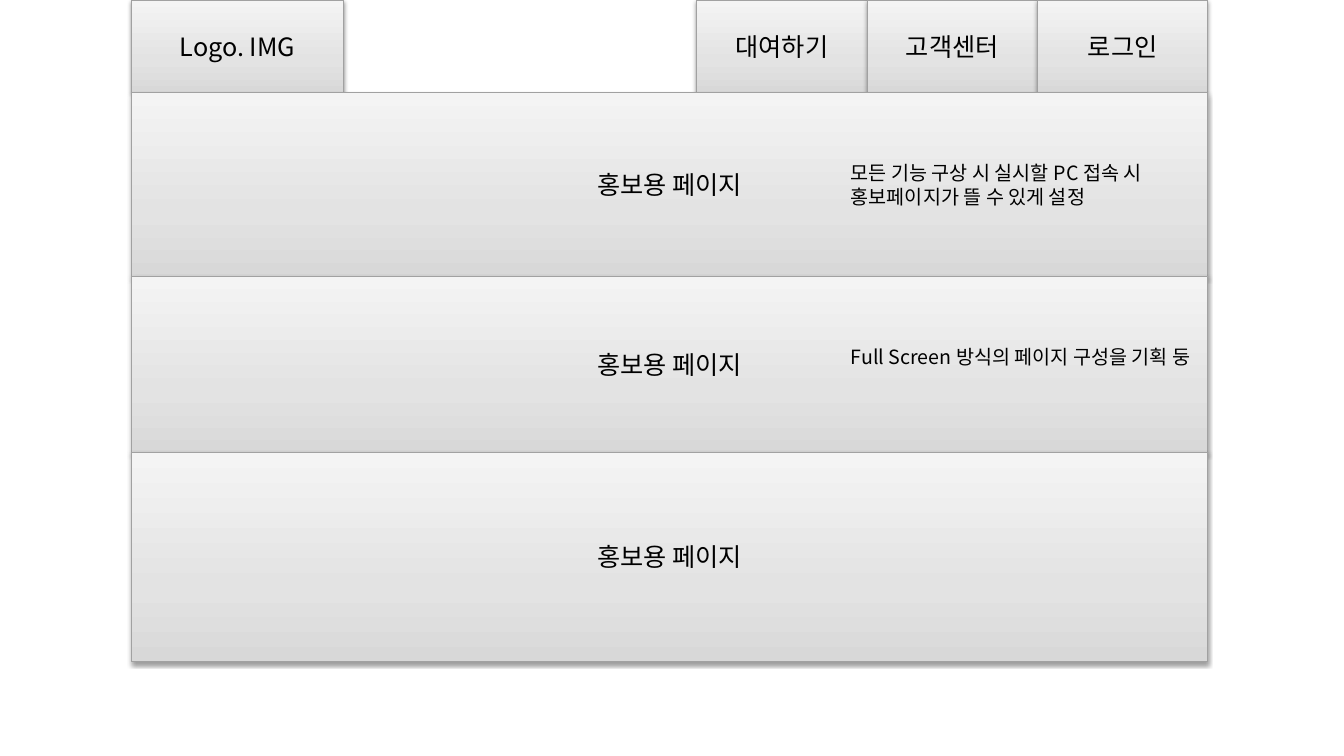
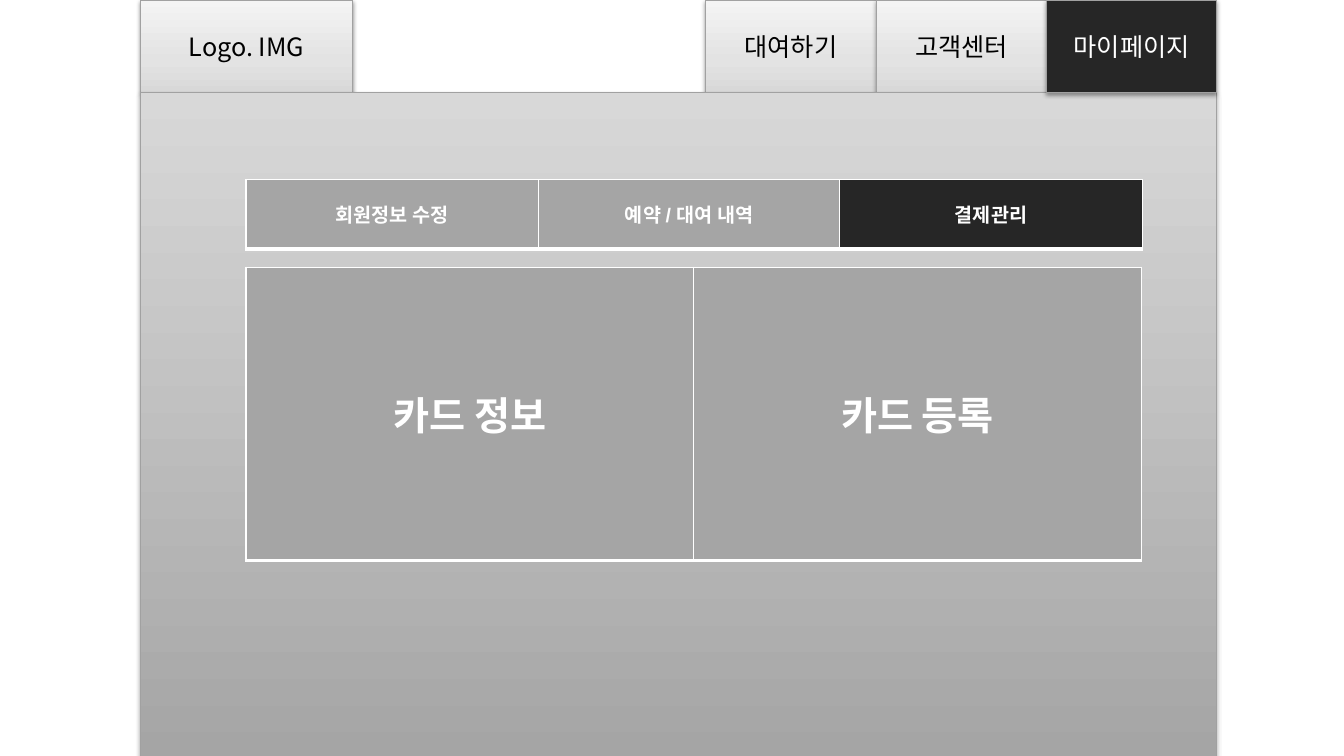
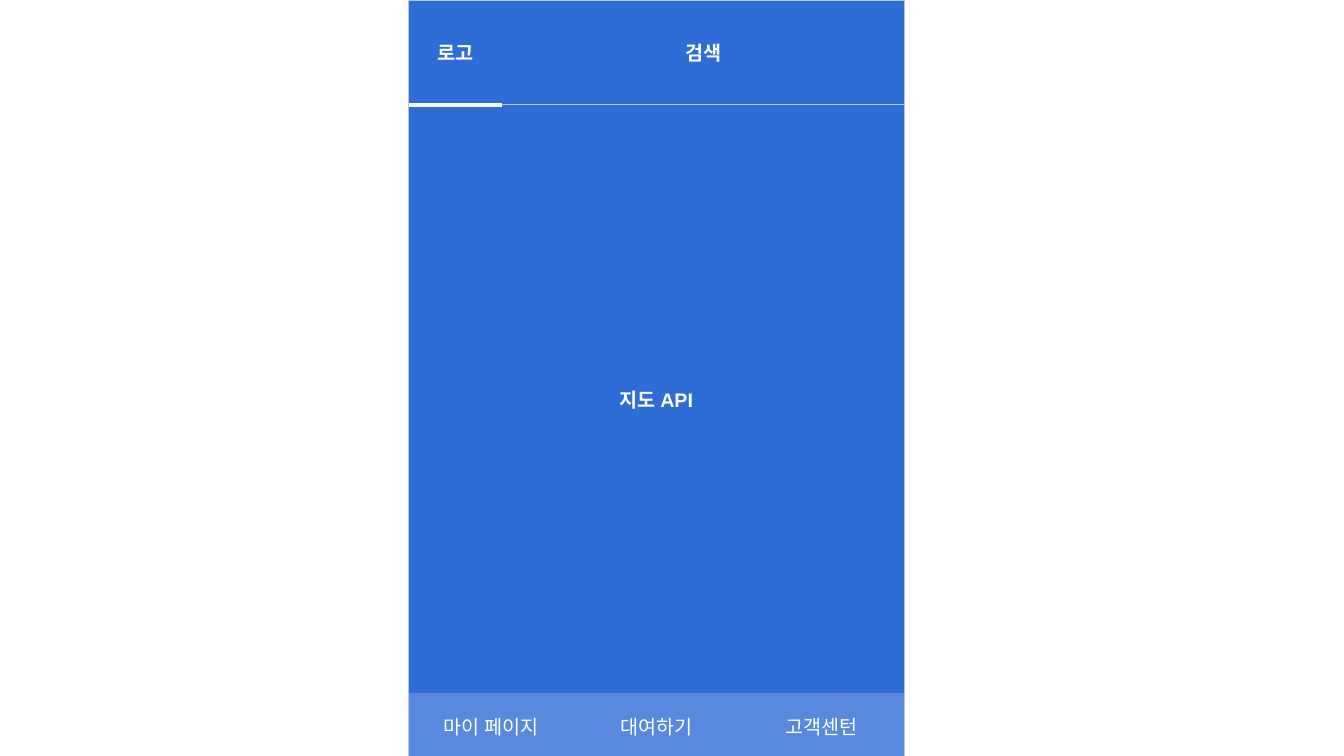
from dataclasses import dataclass, field

from lxml import etree
from pptx import Presentation
from pptx import util as u
from pptx.dml.color import RGBColor
from pptx.enum import shapes, text
from pptx.oxml.ns import qn

PX = 9144


@dataclass(frozen=True)
class Theme:
    """Colours, fonts, type sizes and lines shared by the slides."""

    ink: str = "000000"
    white: str = "FFFFFF"
    dark: str = "262626"
    grey: str = "A5A5A5"
    outline: str = "A1A1A1"
    blue: str = "2E6CD6"
    pale_blue: str = "5889DE"
    panel: tuple = ((0, "D8D8D8"), (35, "E3E3E3"), (100, "F4F4F4"))
    backdrop: tuple = ((0, "A5A5A5"), (100, "D8D8D8"))
    korean_font: str = "Noto Sans CJK KR"
    table_font: str = "Arial"
    note_size: int = 14
    label_size: int = 18
    card_size: int = 28
    thin: tuple = ("BCC4E0", 0.75)
    rule: tuple = ("FFFFFF", 1)
    thick: tuple = ("FFFFFF", 3)
    plain_table: str = "{2D5ABB26-0587-4C30-8999-92F81FD0307C}"


@dataclass
class Cell:
    """One table cell: label, fill, weight, column span and borders by side."""

    label: str
    fill: str
    bold: bool = True
    span: int = 1
    borders: dict = field(default_factory=dict)


def assign(target, **values):
    """Set each named attribute on the target."""
    for name, value in values.items():
        setattr(target, name, value)


def add_xml(parent, tag, **attributes):
    """Append a DrawingML element and return it."""
    values = {name: str(value) for name, value in attributes.items()}
    return etree.SubElement(parent, qn(f"a:{tag}"), values)


class Wireframe:
    """Draws wireframe elements on the current slide."""

    def __init__(self, theme):
        """Start a presentation with the given theme."""
        self.theme = theme
        self.presentation = Presentation()
        assign(self.presentation, slide_width=1333 * PX, slide_height=750 * PX)
        self.slide = None

    def new_slide(self):
        """Add a blank slide and make it current."""
        self.slide = self.presentation.slides.add_slide(self.presentation.slide_layouts[6])

    def add_label(self, frame, label, size, color, font, centred=True, bold=False):
        """Put one formatted paragraph into a text frame."""
        paragraph = frame.paragraphs[0]
        if centred:
            paragraph.alignment = text.PP_ALIGN.CENTER
        run = paragraph.add_run()
        run.text = label
        assign(run.font, size=u.Pt(size), bold=bold, name=font)
        run.font.color.rgb = RGBColor.from_string(color)
        add_xml(run.font._element, "ea", typeface=self.theme.korean_font)

    def paint(self, shape, fill):
        """Fill a shape with a colour or with upward gradient stops."""
        if isinstance(fill, str):
            shape.fill.solid()
            shape.fill.fore_color.rgb = RGBColor.from_string(fill)
            return
        shape.fill.gradient()
        shape.fill.gradient_angle = 90
        stops = shape._element.spPr.find(qn("a:gradFill")).find(qn("a:gsLst"))
        for stop in list(stops):
            stops.remove(stop)
        for position, color in fill:
            add_xml(add_xml(stops, "gs", pos=position * 1000), "srgbClr", val=color)

    def panel(self, box, label="", fill=None, color=None, shadow=(38, 20000)):
        """Draw an outlined, shadowed rectangle with a centred label."""
        shape = self.slide.shapes.add_shape(
            shapes.MSO_SHAPE.RECTANGLE, *(length * PX for length in box))
        self.paint(shape, fill or self.theme.panel)
        shape.line.color.rgb = RGBColor.from_string(self.theme.outline)
        shape.line.width = u.Pt(0.75)
        shape.shadow.inherit = False
        opacity, distance = shadow
        outer = add_xml(shape._element.spPr.find(qn("a:effectLst")), "outerShdw",
                        blurRad=40000, dist=distance, dir=5400000, rotWithShape=0)
        add_xml(add_xml(outer, "srgbClr", val=self.theme.ink), "alpha", val=opacity * 1000)
        if label:
            shape.text_frame.vertical_anchor = text.MSO_ANCHOR.MIDDLE
            self.add_label(shape.text_frame, label, self.theme.label_size,
                           color or self.theme.ink, self.theme.korean_font)

    def tab(self, left, index, label, **style):
        """Draw one menu tab, counted from the first tab of the page."""
        self.panel((left + 561 + index * 169, 0, 169, 92), label, **style)

    def header(self, left, labels):
        """Draw the menu tabs and the logo holder."""
        for index, label in enumerate(labels):
            self.tab(left, index, label)
        self.panel((left, 0, 211, 92), "Logo. IMG")

    def note(self, box, label):
        """Draw a wrapped text note."""
        frame = self.slide.shapes.add_textbox(*(length * PX for length in box)).text_frame
        assign(frame, word_wrap=True, auto_size=text.MSO_AUTO_SIZE.SHAPE_TO_FIT_TEXT)
        self.add_label(frame, label, self.theme.note_size, self.theme.ink,
                       self.theme.korean_font, centred=False)

    def border(self, cell, borders):
        """Draw the given cell borders in schema order."""
        properties = cell._tc.get_or_add_tcPr()
        sides = [side for side in "LRTB" if side in borders]
        for index, side in enumerate(sides):
            color, width = borders[side]
            line = add_xml(properties, f"ln{side}", w=u.Pt(width))
            add_xml(add_xml(line, "solidFill"), "srgbClr", val=color)
            properties.insert(index, line)

    def table(self, left, top, widths, heights, rows, size):
        """Draw a table from rows of Cell objects."""
        frame = self.slide.shapes.add_table(
            len(heights), len(widths), left * PX, top * PX, sum(widths) * PX, sum(heights) * PX)
        table = frame.table
        assign(table, first_row=False, horz_banding=False)
        table._tbl.tblPr.find(qn("a:tableStyleId")).text = self.theme.plain_table
        for column, width in zip(table.columns, widths):
            column.width = width * PX
        for row, height in zip(table.rows, heights):
            row.height = height * PX
        for row_index, row in enumerate(rows):
            column_index = 0
            for content in row:
                cell = table.cell(row_index, column_index)
                column_index += content.span
                if content.span > 1:
                    cell.merge(table.cell(row_index, column_index - 1))
                cell.vertical_anchor = text.MSO_ANCHOR.MIDDLE
                cell.fill.solid()
                cell.fill.fore_color.rgb = RGBColor.from_string(content.fill)
                self.border(cell, content.borders)
                self.add_label(cell.text_frame, content.label, size, self.theme.white,
                               self.theme.table_font, bold=content.bold)


def promotion_page(wireframe):
    """Draw the stacked promotion page."""
    left = 130
    wireframe.new_slide()
    wireframe.header(left, ["대여하기", "고객센터", "로그인"])
    for top, bottom in ((92, 274), (274, 449), (449, 656)):
        wireframe.panel((left, top, 1068, bottom - top), "홍보용 페이지")
    for top, label in (
        (155, "모든 기능 구상 시 실시할 PC 접속 시 홍보페이지가 뜰 수 있게 설정"),
        (337, "Full Screen 방식의 페이지 구성을 기획 둥"),
    ):
        wireframe.note((834, top, 364, 57), label)


def payment_page(wireframe):
    """Draw the account page with its payment section open."""
    left = 139
    theme = wireframe.theme
    borders = {**dict.fromkeys("LRT", theme.rule), "B": theme.thick}
    sections = [Cell(label, fill, borders=borders) for label, fill in (
        ("회원정보 수정", theme.grey), ("예약 / 대여 내역", theme.grey), ("결제관리", theme.dark))]
    cards = [Cell(label, theme.grey, borders=borders) for label in ("카드 정보", "카드 등록")]
    wireframe.new_slide()
    wireframe.header(left, ["대여하기", "고객센터"])
    wireframe.panel((left, 92, 1068, 661), fill=theme.backdrop, shadow=(35, 23000))
    wireframe.table(244, 178, [290, 299, 300], [69], [sections], theme.note_size)
    wireframe.tab(left, 2, "마이페이지", fill=theme.dark, color=theme.white)
    wireframe.table(244, 265, [444, 444], [291], [cards], theme.card_size)


def mobile_page(wireframe):
    """Draw the mobile map page."""
    theme = wireframe.theme
    thin = theme.thin
    map_row = [Cell("지도 API", theme.blue, span=3, borders=dict.fromkeys("LRT", thin))]
    menu_row = [Cell(label, theme.pale_blue, bold=False, borders=dict.fromkeys(sides, thin))
                for label, sides in (("마이 페이지", "LB"), ("대여하기", "B"), ("고객센턴", "RB"))]
    search_row = [
        Cell("로고", theme.blue, borders={"L": thin, "T": thin, "B": theme.thick}),
        Cell("검색", theme.blue, borders=dict.fromkeys("RTB", thin)),
    ]
    wireframe.new_slide()
    wireframe.table(405, 104, [164] * 3, [583, 67], [map_row, menu_row], theme.note_size)
    wireframe.table(405, 0, [93, 399], [104], [search_row], theme.note_size)


def main():
    """Build and save the presentation."""
    wireframe = Wireframe(Theme())
    for page in (promotion_page, payment_page, mobile_page):
        page(wireframe)
    wireframe.presentation.save("out.pptx")


if __name__ == "__main__":
    main()
